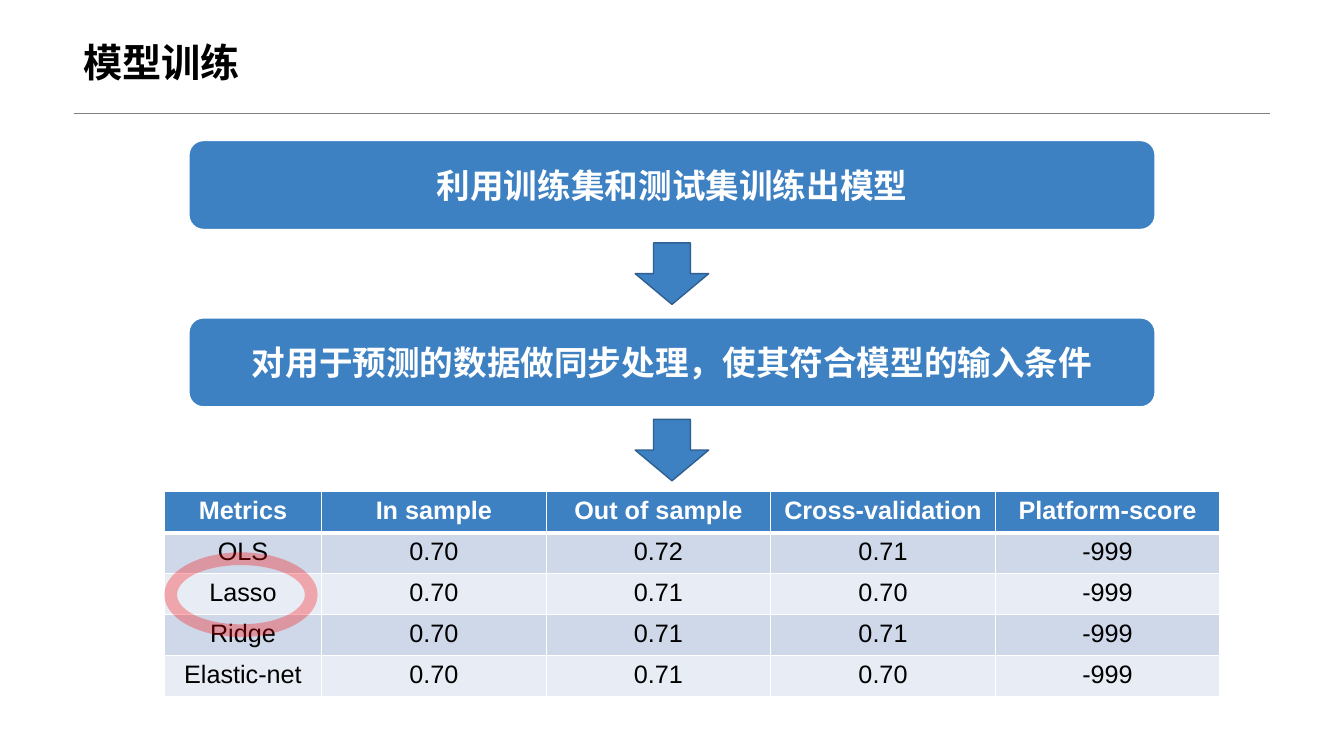
from dataclasses import dataclass

from lxml import etree
from pptx import Presentation
from pptx import util as u
from pptx.dml import color
from pptx.enum import shapes, text
from pptx.oxml import ns

LATIN_FONT = "Arial"
CHINESE_FONT = "Noto Sans CJK SC"
BLUE, DARK_BLUE, WHITE, BLACK = "3E81C3", "2E5F90", "FFFFFF", "000000"
BAND_COLORS = ("CED8E9", "E8EDF5")

METRICS = (
    ("Metrics", "In sample", "Out of sample", "Cross-validation", "Platform-score"),
    ("OLS", "0.70", "0.72", "0.71", "-999"),
    ("Lasso", "0.70", "0.71", "0.70", "-999"),
    ("Ridge", "0.70", "0.71", "0.71", "-999"),
    ("Elastic-net", "0.70", "0.71", "0.70", "-999"),
)


@dataclass(frozen=True)
class Box:
    left: float
    top: float
    width: float
    height: float

    def lengths(self) -> tuple:
        return tuple(u.Inches(n) for n in (self.left, self.top, self.width, self.height))


@dataclass(frozen=True)
class Step:
    label: str
    top: float
    arrow_top: float


STEPS = (
    Step("利用训练集和测试集训练出模型", 1.39, 2.41),
    Step("对用于预测的数据做同步处理，使其符合模型的输入条件", 3.15, 4.16),
)


def rgb(value: str) -> color.RGBColor:
    return color.RGBColor.from_string(value)


def add_child(parent, tag: str, **attributes: str):
    return etree.SubElement(parent, ns.qn(tag), attributes)


def write(frame, content: str, size: float, fill: str, bold: bool,
          align=text.PP_ALIGN.CENTER, latin: str = LATIN_FONT) -> None:
    frame.text = content
    paragraph = frame.paragraphs[0]
    paragraph.alignment = align
    run = paragraph.runs[0]
    run.font.name = latin
    run.font.size = u.Pt(size)
    run.font.bold = bold
    run.font.color.rgb = rgb(fill)
    add_child(run.font._element, "a:ea", typeface=CHINESE_FONT)


def add_filled(slide, kind, box: Box, fill: str, line: str | None = None, line_width: float = 1):
    shape = slide.shapes.add_shape(kind, *box.lengths())
    shape.shadow.inherit = False
    shape.fill.solid()
    shape.fill.fore_color.rgb = rgb(fill)
    if line is None:
        shape.line.fill.background()
    else:
        shape.line.color.rgb = rgb(line)
        shape.line.width = u.Pt(line_width)
    return shape


def add_title(slide, content: str) -> None:
    # Title and the rule below it
    title = slide.shapes.add_textbox(*Box(0.73, 0, 11.87, 0.9).lengths())
    frame = title.text_frame
    frame.word_wrap = True
    frame.vertical_anchor = text.MSO_ANCHOR.BOTTOM
    write(frame, content, 28, BLACK, True, text.PP_ALIGN.LEFT)
    frame.paragraphs[0].line_spacing = 0.9

    rule = slide.shapes.add_connector(
        shapes.MSO_CONNECTOR.STRAIGHT,
        u.Inches(0.73), u.Inches(1.12), u.Inches(12.6), u.Inches(1.12))
    rule.line.color.rgb = rgb("808080")
    rule.line.width = u.Pt(0.25)
    add_child(rule._element.spPr, "a:effectLst")


def add_step(slide, step: Step) -> None:
    panel = add_filled(slide, shapes.MSO_SHAPE.ROUNDED_RECTANGLE,
                       Box(1.87, step.top, 9.59, 0.89), BLUE, WHITE, 1.5)
    panel.text_frame.word_wrap = True
    panel.text_frame.vertical_anchor = text.MSO_ANCHOR.MIDDLE
    write(panel.text_frame, step.label, 24, WHITE, True, latin=CHINESE_FONT)
    add_filled(slide, shapes.MSO_SHAPE.DOWN_ARROW,
               Box(6.3, step.arrow_top, 0.73, 0.61), BLUE, DARK_BLUE)


def format_cell(cell, fill: str, top_width: float, bottom_width: float) -> None:
    properties = cell._tc.get_or_add_tcPr()
    for side, width in (("L", 1), ("R", 1), ("T", top_width), ("B", bottom_width)):
        border = add_child(properties, f"a:ln{side}", w=str(u.Pt(width)))
        add_child(add_child(border, "a:solidFill"), "a:srgbClr", val=WHITE)
    cell.fill.solid()
    cell.fill.fore_color.rgb = rgb(fill)


def add_metrics_table(slide, box: Box, first_width: float) -> None:
    row_count, column_count = len(METRICS), len(METRICS[0])
    table = slide.shapes.add_table(row_count, column_count, *box.lengths()).table
    other_width = (box.width - first_width) / (column_count - 1)
    for index, column in enumerate(table.columns):
        column.width = u.Inches(other_width if index else first_width)
    for row_index, values in enumerate(METRICS):
        header = row_index == 0
        fill = BLUE if header else BAND_COLORS[(row_index - 1) % 2]
        # The header and the first data row share a thick border
        top_width = 3 if row_index == 1 else 1
        bottom_width = 3 if header else 1
        for column_index, value in enumerate(values):
            cell = table.cell(row_index, column_index)
            write(cell.text_frame, value, 18, WHITE if header else BLACK, header)
            format_cell(cell, fill, top_width, bottom_width)


def add_highlight(slide, box: Box) -> None:
    # Translucent ring around the chosen model
    ring = add_filled(slide, shapes.MSO_SHAPE.DONUT, box, "FF0000")
    ring.adjustments[0] = 0.15
    fill_color = ring._element.spPr.find(ns.qn("a:solidFill"))[0]
    add_child(fill_color, "a:alpha", val="30000")


def main() -> None:
    presentation = Presentation()
    presentation.slide_width = u.Inches(13.33)
    presentation.slide_height = u.Inches(7.5)
    slide = presentation.slides.add_slide(presentation.slide_layouts[6])

    add_title(slide, "模型训练")
    for step in STEPS:
        add_step(slide, step)
    add_metrics_table(slide, Box(1.63, 4.88, 10.47, 2.03), first_width=1.56)
    add_highlight(slide, Box(1.63, 5.48, 1.52, 0.84))
    presentation.save("out.pptx")


if __name__ == "__main__":
    main()
